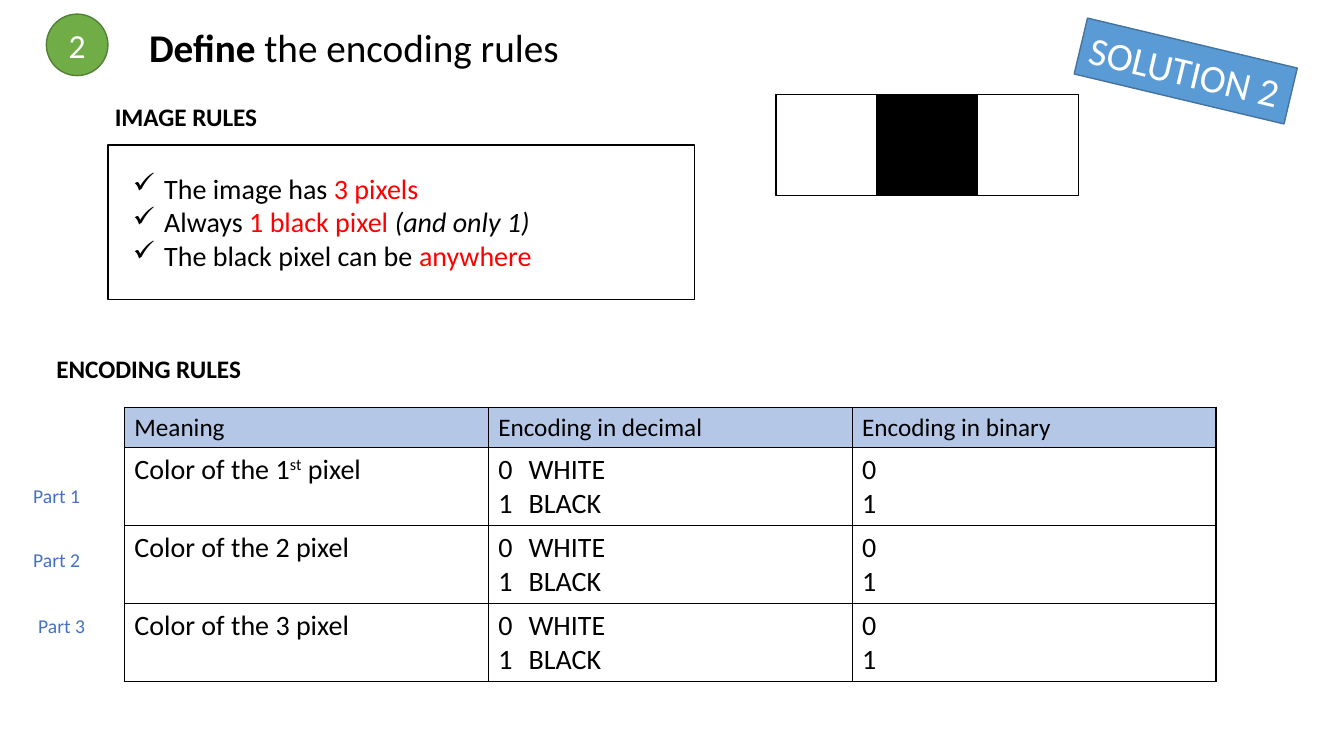
from dataclasses import dataclass

from lxml import etree
from pptx import Presentation
from pptx.dml.color import RGBColor
from pptx.enum.shapes import MSO_SHAPE
from pptx.enum.text import MSO_ANCHOR, PP_ALIGN
from pptx.oxml.ns import qn
from pptx.util import Inches, Pt


@dataclass(frozen=True)
class Theme:
    font: str = "Calibri"
    black: str = "000000"
    white: str = "FFFFFF"
    red: str = "FF0000"
    blue: str = "4472C4"
    badge: str = "70AD47"
    badge_line: str = "538035"
    tag: str = "5B9BD5"
    tag_line: str = "43739E"
    header: str = "B4C7E7"
    title: int = 28
    number: int = 24
    body: int = 20
    heading: int = 18
    label: int = 14


THEME = Theme()
WIDTH, HEIGHT = Inches(13.33), Inches(7.5)


def across(percent):
    return round(WIDTH * percent / 100)


def down(percent):
    return round(HEIGHT * percent / 100)


def place(x, y, w, h):
    """Turn percentages of the slide into a position and size."""
    return across(x), down(y), across(w), down(h)


def write(paragraph, runs, size, color=THEME.black):
    """Runs are strings, or (string, style) pairs."""
    for item in runs:
        text, style = (item, {}) if isinstance(item, str) else item
        run = paragraph.add_run()
        run.text = text
        font = run.font
        font.name, font.size = THEME.font, Pt(size)
        font.bold, font.italic = style.get("bold"), style.get("italic")
        font.color.rgb = RGBColor.from_string(style.get("color", color))
        if style.get("superscript"):
            run._r.get_or_add_rPr().set("baseline", "30000")


def fill_frame(frame, lines, size, color=THEME.black):
    for i, runs in enumerate(lines):
        paragraph = frame.paragraphs[0] if i == 0 else frame.add_paragraph()
        write(paragraph, runs, size, color)


def add_text(slide, box, lines, size, color=THEME.black):
    frame = slide.shapes.add_textbox(*place(*box)).text_frame
    frame.word_wrap = False
    fill_frame(frame, lines, size, color)
    return frame


def add_box(slide, kind, box, fill=None, line=THEME.black):
    shape = slide.shapes.add_shape(kind, *place(*box))
    shape.shadow.inherit = False
    if fill:
        shape.fill.solid()
        shape.fill.fore_color.rgb = RGBColor.from_string(fill)
    else:
        shape.fill.background()
    shape.line.color.rgb = RGBColor.from_string(line)
    shape.line.width = Pt(1)
    return shape


def label_shape(shape, text, size, align, anchor):
    frame = shape.text_frame
    frame.word_wrap = False
    frame.vertical_anchor = anchor
    fill_frame(frame, [[text]], size, THEME.white)
    frame.paragraphs[0].alignment = align


def add_checks(frame):
    for paragraph in frame.paragraphs:
        props = paragraph._p.get_or_add_pPr()
        props.set("marL", str(Inches(0.31)))
        props.set("indent", str(-Inches(0.31)))
        etree.SubElement(props, qn("a:buChar")).set("char", "✓")


def set_tab(paragraph, position):
    tabs = etree.SubElement(paragraph._p.get_or_add_pPr(), qn("a:tabLst"))
    tab = etree.SubElement(tabs, qn("a:tab"))
    tab.set("pos", str(position))
    tab.set("algn", "l")


def style_cell(cell, fill):
    props = cell._tc.get_or_add_tcPr()
    for side in ("lnL", "lnR", "lnT", "lnB"):
        line = etree.SubElement(props, qn(f"a:{side}"))
        line.set("w", str(Pt(1)))
        solid = etree.SubElement(line, qn("a:solidFill"))
        etree.SubElement(solid, qn("a:srgbClr")).set("val", THEME.black)
    if fill:
        cell.fill.solid()
        cell.fill.fore_color.rgb = RGBColor.from_string(fill)
    else:
        cell.fill.background()


def add_rules_table(slide, x, y, width, header_height, row_height, rows):
    heights = [header_height] + [row_height] * (len(rows) - 1)
    table = slide.shapes.add_table(
        len(rows), len(rows[0]), *place(x, y, width, sum(heights))).table
    table.first_row = table.horz_banding = False
    for r, (row, height) in enumerate(zip(rows, heights)):
        table.rows[r].height = down(height)
        for c, lines in enumerate(row):
            cell = table.cell(r, c)
            style_cell(cell, THEME.header if r == 0 else None)
            fill_frame(cell.text_frame, lines,
                       THEME.heading if r == 0 else THEME.body)
            for paragraph in cell.text_frame.paragraphs:
                if "\t" in paragraph.text:
                    set_tab(paragraph, Inches(0.3))


def main():
    prs = Presentation()
    prs.slide_width, prs.slide_height = WIDTH, HEIGHT
    slide = prs.slides.add_slide(prs.slide_layouts[6])
    bold, red = {"bold": True}, {"color": THEME.red}

    # Step number, title and solution tag
    badge = add_box(slide, MSO_SHAPE.OVAL, (3.45, 1.87, 4.58, 8.13),
                    THEME.badge, THEME.badge_line)
    label_shape(badge, "2", THEME.number, PP_ALIGN.CENTER, MSO_ANCHOR.MIDDLE)
    add_text(slide, (10.35, 2.4, 33.75, 7.6),
             [[("Define", bold), " the encoding rules"]], THEME.title)
    tag = add_box(slide, MSO_SHAPE.RECTANGLE, (80.2, 5.6, 16.05, 7.6),
                  THEME.tag, THEME.tag_line)
    tag.rotation = 13.4
    label_shape(tag, "SOLUTION 2", THEME.title, PP_ALIGN.LEFT, MSO_ANCHOR.TOP)

    # Section headings
    for text, box in (("IMAGE RULES", (7.8, 12.8, 12.23, 5.33)),
                      ("ENCODING RULES", (3.45, 46.13, 15.45, 5.33))):
        add_text(slide, box, [[(text, bold)]], THEME.heading)

    # Image rules
    add_box(slide, MSO_SHAPE.RECTANGLE, (8.03, 19.2, 43.65, 20.4))
    rules = add_text(slide, (9.15, 22, 31.8, 14.8), [
        ["The image has ", ("3 pixels", red)],
        ["Always ", ("1 black pixel ", red),
         ("(and only 1)", {"italic": True})],
        ["The black pixel can be ", ("anywhere", red)],
    ], THEME.body)
    add_checks(rules)

    # Three-pixel example
    for i, color in enumerate((THEME.white, THEME.black, THEME.white)):
        add_box(slide, MSO_SHAPE.RECTANGLE,
                (57.75 + 7.5 * i, 12.53, 7.5, 13.33), color)

    # Encoding rules
    meanings = [["Color of the 1", ("st", {"superscript": True}), " pixel"],
                ["Color of the 2 pixel"], ["Color of the 3 pixel"]]
    decimal = [["0\tWHITE"], ["1\tBLACK"]]
    binary = [["0"], ["1"]]
    header = [[[name]] for name in
              ("Meaning", "Encoding in decimal", "Encoding in binary")]
    add_rules_table(slide, 9.25, 53.87, 81.23, 5.33, 10.3,
                    [header] + [[[m], decimal, binary] for m in meanings])

    # Labels beside the table rows
    for number, (x, y) in enumerate(
            ((1.73, 63.33), (1.73, 71.87), (2.1, 80.53)), start=1):
        add_text(slide, (x, y, 5.03, 4.53), [[f"Part {number}"]],
                 THEME.label, THEME.blue)

    prs.save("out.pptx")


main()
